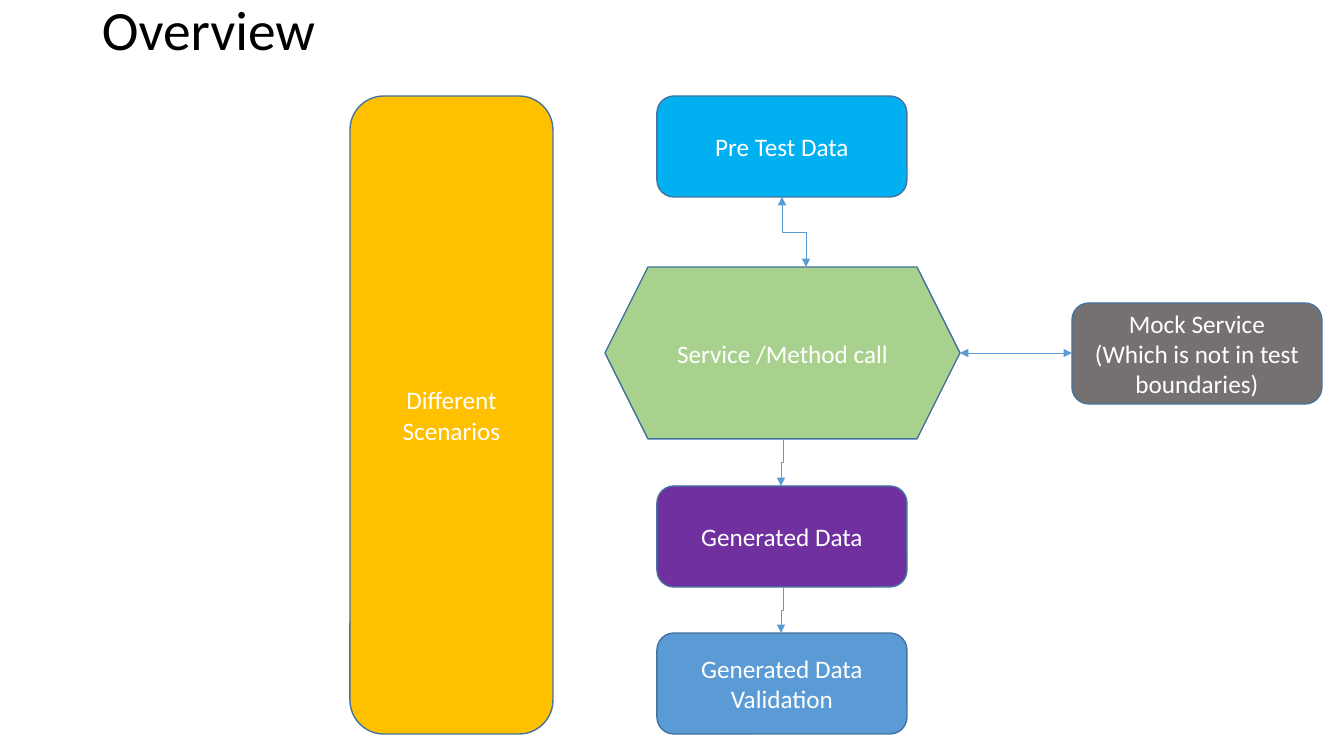
from dataclasses import dataclass

from pptx import Presentation
from pptx import util as u
from pptx.dml.color import RGBColor
from pptx.enum import shapes, text
from pptx.oxml.ns import qn
from pptx.oxml.xmlchemy import OxmlElement

PX = 914400 / 100.8


@dataclass(frozen=True)
class Theme:
    font: str = "Calibri"
    title_size: float = 39.6
    body_size: float = 18
    ink: str = "000000"
    light: str = "FFFFFF"
    outline: str = "43739E"
    arrow: str = "5B9BD5"
    scenarios: str = "FFC000"
    pre_test: str = "00B0F0"
    service: str = "A9D18E"
    mock: str = "767171"
    generated: str = "7030A0"
    validation: str = "5B9BD5"


def px(*lengths):
    return [u.Emu(round(length * PX)) for length in lengths]


def write(frame, words, *, font, size, color, align=None, spacing=None):
    """Fill a text frame, one paragraph for each line of words."""
    frame.word_wrap = True
    frame.vertical_anchor = text.MSO_ANCHOR.MIDDLE
    for index, line in enumerate(words.split("\n")):
        para = frame.add_paragraph() if index else frame.paragraphs[0]
        para.alignment = align
        para.line_spacing = spacing
        span = para.add_run()
        span.text = line
        span.font.name = font
        span.font.size = u.Pt(size)
        span.font.color.rgb = RGBColor.from_string(color)


class Slide:
    def __init__(self, page, theme):
        self.page = page
        self.theme = theme

    def title(self, words, *place):
        box = self.page.shapes.add_textbox(*px(*place))
        write(box.text_frame, words, font=self.theme.font, size=self.theme.title_size,
              color=self.theme.ink, spacing=0.9)

    def block(self, words, fill, *place, kind=shapes.MSO_SHAPE.ROUNDED_RECTANGLE):
        box = self.page.shapes.add_shape(kind, *px(*place))
        box.shadow.inherit = False
        box.fill.solid()
        box.fill.fore_color.rgb = RGBColor.from_string(fill)
        box.line.color.rgb = RGBColor.from_string(self.theme.outline)
        box.line.width = u.Pt(1)
        write(box.text_frame, words, font=self.theme.font, size=self.theme.body_size,
              color=self.theme.light, align=text.PP_ALIGN.CENTER)

    def arrow(self, start, end, both=False, kind=shapes.MSO_CONNECTOR.STRAIGHT):
        link = self.page.shapes.add_connector(kind, *px(*start, *end))
        link.line.color.rgb = RGBColor.from_string(self.theme.arrow)
        link.line.width = u.Pt(0.5)
        line = link.line._get_or_add_ln()
        for tag in ("a:headEnd", "a:tailEnd") if both else ("a:tailEnd",):
            tip = OxmlElement(tag)
            tip.set("type", "triangle")
            line.append(tip)
        link._element.spPr.append(OxmlElement("a:effectLst"))
        return link

    def step_arrow(self, start, end, both=False):
        """Elbow that leaves and arrives vertically: laid flat, then turned by 90 degrees."""
        middle_x, middle_y = (start[0] + end[0]) / 2, (start[1] + end[1]) / 2
        flat = [(middle_x + y - middle_y, middle_y - x + middle_x) for x, y in (start, end)]
        link = self.arrow(*flat, both=both, kind=shapes.MSO_CONNECTOR.ELBOW)
        link._element.spPr.find(qn("a:xfrm")).set("rot", str(90 * 60000))


def main():
    deck = Presentation()
    deck.slide_width, deck.slide_height = px(1344, 756)
    theme = Theme()
    slide = Slide(deck.slides.add_slide(deck.slide_layouts[6]), theme)

    top, flow_left = 96, 657
    size = width, height = 250, 101
    generated_top, validation_top = 486, 633
    service_left, service_top, service_width, service_height = 605, 267, 355, 172
    service_right = service_left + service_width
    service_bottom = service_top + service_height
    service_middle = service_top + service_height // 2
    mock_left = 1072
    center = flow_left + width // 2

    slide.title("Overview", 92, 0, 1159, 64)
    slide.block("Different Scenarios", theme.scenarios, 350, top, 203, 638)
    slide.block("Service /Method call", theme.service, service_left, service_top,
                service_width, service_height, kind=shapes.MSO_SHAPE.HEXAGON)
    for words, fill, left, block_top in (
        ("Pre Test Data", theme.pre_test, flow_left, top),
        ("Generated Data", theme.generated, flow_left, generated_top),
        ("Generated Data Validation", theme.validation, flow_left, validation_top),
        ("Mock Service\n(Which is not in test boundaries)", theme.mock,
         mock_left, service_middle - height // 2),
    ):
        slide.block(words, fill, left, block_top, *size)

    slide.step_arrow((center, top + height), (center + 24, service_top), both=True)
    slide.arrow((service_right, service_middle), (mock_left, service_middle), both=True)
    for start, end in ((service_bottom, generated_top),
                       (generated_top + height, validation_top)):
        slide.step_arrow((center + 1, start), (center - 1, end))

    deck.save("out.pptx")


if __name__ == "__main__":
    main()
